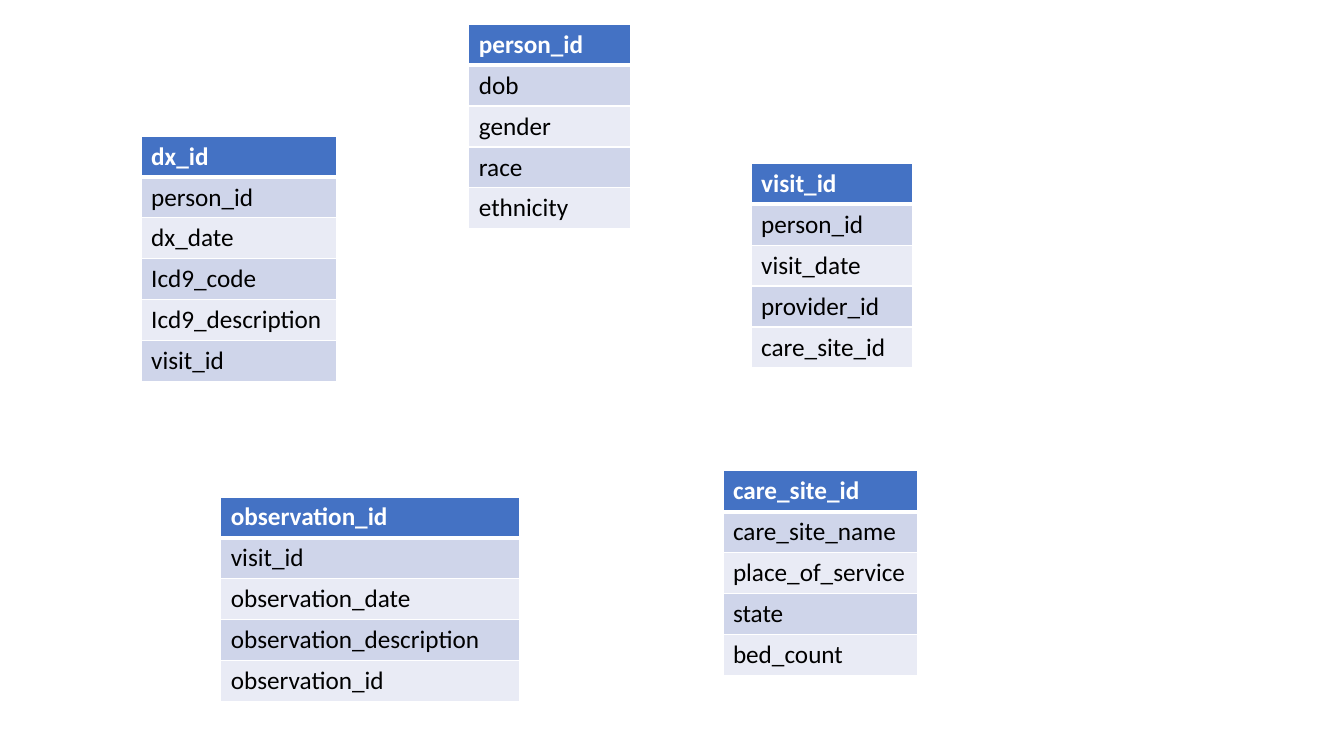
from lxml.etree import SubElement
from pptx import Presentation
from pptx.dml.color import RGBColor
from pptx.oxml.ns import qn
from pptx.util import Inches, Pt

COLORS = {
    "header": "4472C4",
    "odd_row": "CFD5EA",
    "even_row": "E9EBF5",
    "white": "FFFFFF",
    "text": "000000",
}
FONT = "Calibri"

ENTITIES = [
    ((4.65, 0.24, 1.6, 2.03), ["person_id", "dob", "gender", "race", "ethnicity"]),
    ((7.45, 1.62, 1.6, 2.03),
     ["visit_id", "person_id", "visit_date", "provider_id", "care_site_id"]),
    ((7.17, 4.67, 1.93, 2.03),
     ["care_site_id", "care_site_name", "place_of_service", "state", "bed_count"]),
    ((1.4, 1.35, 1.94, 2.43),
     ["dx_id", "person_id", "dx_date", "Icd9_code", "Icd9_description", "visit_id"]),
    ((2.19, 4.93, 2.96, 2),
     ["observation_id", "visit_id", "observation_date", "observation_description",
      "observation_id"]),
]


def color(name):
    return RGBColor.from_string(COLORS[name])


def add_borders(cell, top, bottom):
    properties = cell._tc.get_or_add_tcPr()
    for side, width in (("L", 1), ("R", 1), ("T", top), ("B", bottom)):
        line = SubElement(properties, qn(f"a:ln{side}"), w=str(Pt(width)))
        fill = SubElement(line, qn("a:solidFill"))
        SubElement(fill, qn("a:srgbClr"), val=COLORS["white"])


def fill_cell(cell, text, row):
    is_header = row == 0
    add_borders(cell, top=3 if row == 1 else 1, bottom=3 if is_header else 1)
    cell.fill.solid()
    band = "odd_row" if row % 2 else "even_row"
    cell.fill.fore_color.rgb = color("header" if is_header else band)
    run = cell.text_frame.paragraphs[0].add_run()
    run.text = text
    run.font.name = FONT
    run.font.size = Pt(18)
    run.font.bold = is_header
    run.font.color.rgb = color("white" if is_header else "text")


def add_entity(slide, box, fields):
    frame = slide.shapes.add_table(len(fields), 1, *map(Inches, box))
    for row, field in enumerate(fields):
        fill_cell(frame.table.cell(row, 0), field, row)


def main():
    presentation = Presentation()
    presentation.slide_width = Inches(13.33)
    presentation.slide_height = Inches(7.5)
    slide = presentation.slides.add_slide(presentation.slide_layouts[6])
    for box, fields in ENTITIES:
        add_entity(slide, box, fields)
    presentation.save("out.pptx")


if __name__ == "__main__":
    main()
